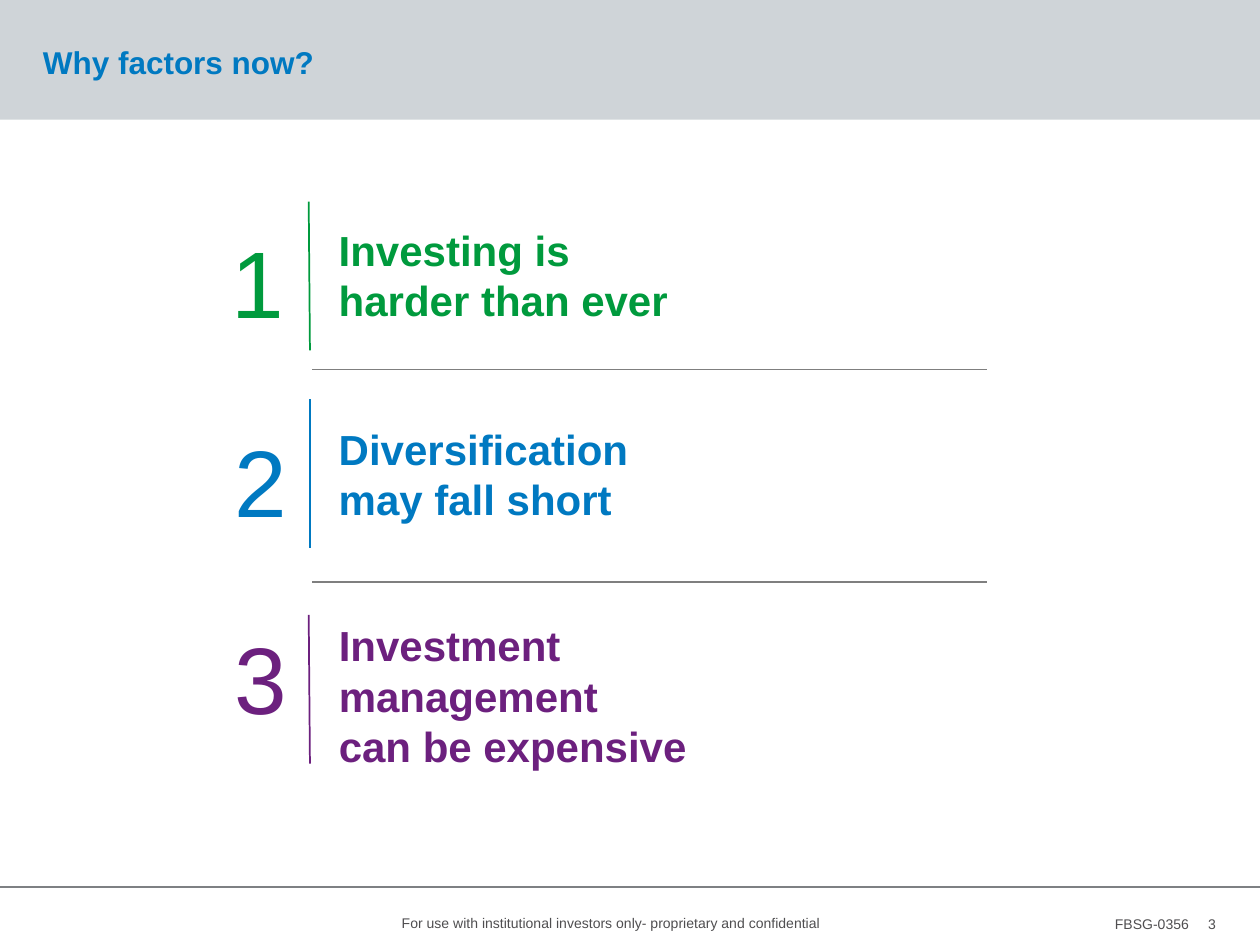
from lxml.etree import SubElement
from pptx import Presentation
from pptx.dml.color import RGBColor
from pptx.enum.shapes import MSO_CONNECTOR, MSO_SHAPE
from pptx.enum.text import MSO_ANCHOR as ANCHOR, MSO_AUTO_SIZE as AUTO, PP_ALIGN as ALIGN
from pptx.oxml.ns import qn
from pptx.util import Inches, Pt

# Content
TITLE = "Why factors now?"
# number, lines of text, colour, top of text, top of bar, height of text
REASONS = [
    ("1", ["Investing is ", "harder than ever"], "green", 1.73, 1.6, 0.91),
    ("2", ["Diversification", "may fall short"], "blue", 3.31, 3.17, 0.91),
    ("3", ["Investment ", "management", "can be expensive"], "purple", 4.87, 4.88, 1.31),
]
DIVIDERS = [2.93, 4.62]
FOOTER = "For use with institutional investors only- proprietary and confidential"
CODE = "FBSG-0356"
PAGE = "3"

COLORS = {
    "band": "CFD4D8", "rule": "7E8083", "divider": "7F7F7F", "footer": "4F4E50",
    "green": "009A3D", "blue": "0079C1", "purple": "6C207E",
}
NUMBER_X, BAR_X, TEXT_X = 1.76, 2.45, 2.59
BAR_HEIGHT = 1.18


def rgb(name):
    return RGBColor.from_string(COLORS[name])


def style(p, size, color, bold=False):
    p.font.name = "Arial"
    p.font.size = Pt(size)
    p.font.bold = bold
    p.font.color.rgb = rgb(color)


def no_margins(tf):
    tf.margin_left = tf.margin_top = tf.margin_right = tf.margin_bottom = 0


def add_text(s, box, lines, size, color, bold=False, wrap=True):
    tf = s.shapes.add_textbox(*map(Inches, box)).text_frame
    tf.word_wrap = wrap
    tf.auto_size = AUTO.SHAPE_TO_FIT_TEXT
    p = tf.paragraphs[0]
    p.text = "\v".join(lines)
    style(p, size, color, bold)
    return tf


def add_line(s, x1, y1, x2, y2, color, width):
    line = s.shapes.add_connector(MSO_CONNECTOR.STRAIGHT, *map(Inches, (x1, y1, x2, y2)))
    line.line.color.rgb = rgb(color)
    line.line.width = Pt(width)
    SubElement(line.element.spPr, qn("a:effectLst"))


prs = Presentation()
prs.slide_width, prs.slide_height = Inches(10), Inches(7.5)
s = prs.slides.add_slide(prs.slide_layouts[5])

# Title on its band
title = s.shapes.title
title.left, title.top, title.width, title.height = map(Inches, (0.34, 0.18, 9.29, 0.65))
tf = title.text_frame
no_margins(tf)
tf.vertical_anchor = ANCHOR.MIDDLE
p = tf.paragraphs[0]
p.text = TITLE
p.alignment = ALIGN.LEFT
p.line_spacing = Pt(20)
style(p, 18, "blue", True)

band = s.shapes.add_shape(MSO_SHAPE.RECTANGLE, 0, Inches(-0.01), Inches(10), Inches(0.96))
band.shadow.inherit = False
band.fill.solid()
band.fill.fore_color.rgb = rgb("band")
band.line.fill.background()
title.element.addprevious(band.element)

# Numbered reasons
for number, lines, color, top, bar_top, height in REASONS:
    width = 3.95 if len(lines) > 2 else 3.24
    add_text(s, (TEXT_X, top, width, height), lines, 24, color, bold=True)
    number_x = NUMBER_X - 0.02 if number == "1" else NUMBER_X
    add_text(s, (number_x, top, 0.62, 1.01), [number], 54, color, wrap=False)
    bar_x = BAR_X + 0.01 if number == "2" else BAR_X
    add_line(s, bar_x, bar_top, BAR_X + 0.01, bar_top + BAR_HEIGHT, color, 1)

for y in DIVIDERS:
    add_line(s, 2.48, y, 7.83, y, "divider", 0.75)

# Footer
add_line(s, -0.01, 7.04, 10, 7.04, "rule", 0.75)
add_text(s, (3.09, 7.21, 4.14, 0.24), [FOOTER], 8, "footer")
add_text(s, (8.75, 7.22, 0.8, 0.24), [CODE], 8, "footer", wrap=False)
tf = add_text(s, (9.25, 7.21, 0.4, 0.24), [PAGE], 8, "footer")
tf.auto_size = AUTO.NONE
tf.vertical_anchor = ANCHOR.MIDDLE
tf.paragraphs[0].alignment = ALIGN.RIGHT
no_margins(tf)

prs.save("out.pptx")
